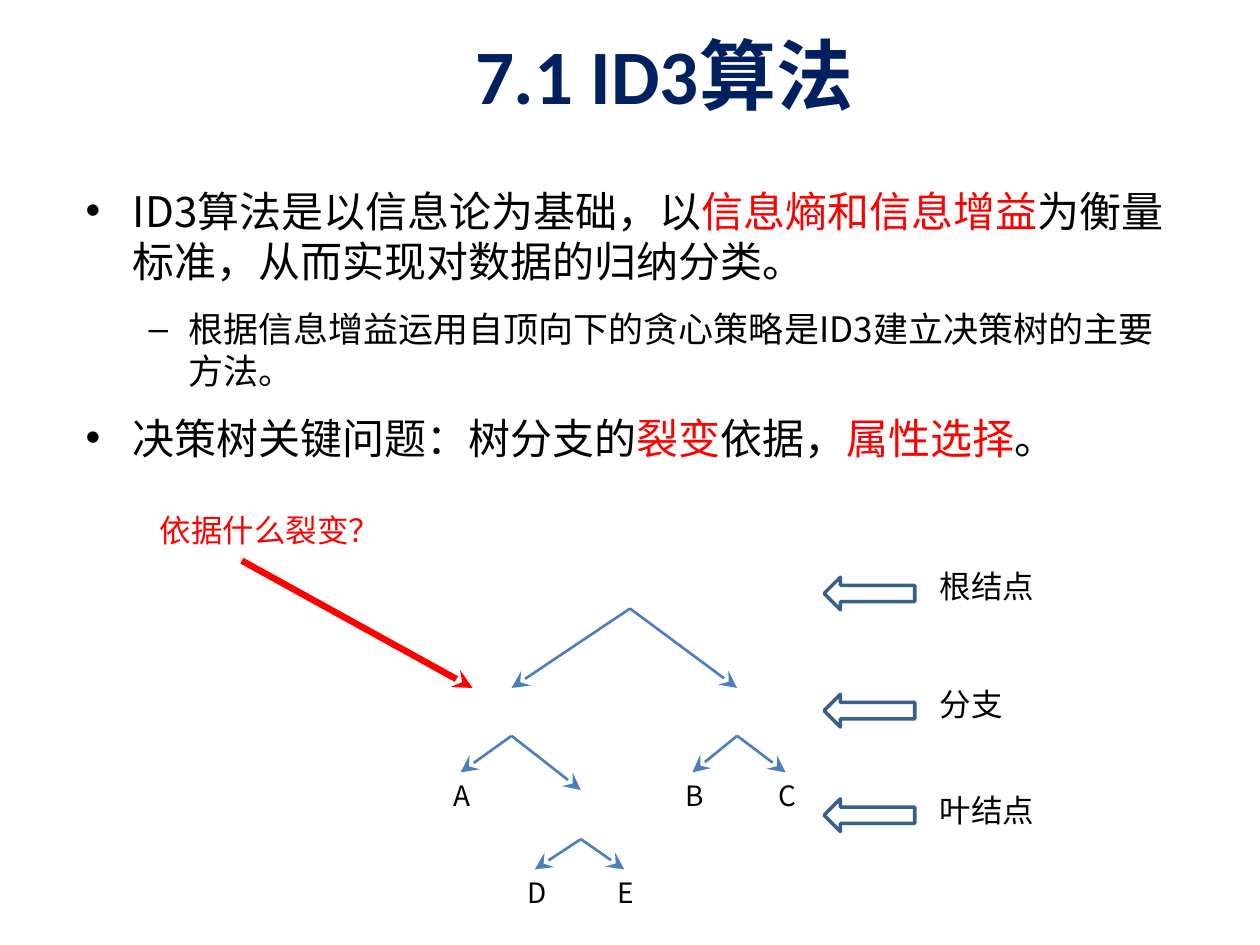
from pptx import Presentation
from pptx.dml.color import RGBColor
from pptx.enum.shapes import MSO_CONNECTOR, MSO_SHAPE
from pptx.enum.text import MSO_ANCHOR, MSO_AUTO_SIZE, PP_ALIGN
from pptx.oxml.ns import qn
from pptx.util import Inches, Pt
from lxml.etree import SubElement

COLORS = {"title": "002060", "text": "000000", "accent": "FF0000",
          "branch": "4B7EBC", "arrow": "3A5F8C"}
CJK = "Noto Sans CJK SC"

TITLE = "7.1 ID3算法"
BULLETS = [
    (0, 24, [("ID3算法是以信息论为基础，以", "text"), ("信息熵和信息增益", "accent"),
             ("为衡量标准，从而实现对数据的归纳分类。", "text")]),
    (1, 20, [("根据信息增益运用自顶向下的贪心策略是ID3建立决策树的主要方法。", "text")]),
    (0, 24, [("决策树关键问题：树分支的", "text"), ("裂变", "accent"), ("依据，", "text"),
             ("属性选择", "accent"), ("。", "text")]),
]
LEAVES = {"A": (3.66, 6.13), "B": (5.5, 6.13), "C": (6.24, 6.13),
          "D": (4.25, 6.9), "E": (4.96, 6.9)}
BRANCHES = [
    ((5, 4.83), [(4.06, 5.46), (5.85, 5.46)]),
    ((4.06, 5.84), ["A", (4.61, 6.27)]),
    ((5.85, 5.84), ["B", "C"]),
    ((4.61, 6.66), ["D", "E"]),
]
LEVELS = [("根结点", 0.96, 4.45, 4.58), ("分支", 0.71, 5.39, 5.51), ("叶结点", 0.96, 6.23, 6.34)]
QUESTION = "依据什么裂变？"


def rgb(name):
    return RGBColor.from_string(COLORS[name])


def style(r, size, color, font=CJK):
    r.font.size = Pt(size)
    r.font.name = font
    r.font.color.rgb = rgb(color)
    SubElement(r._r.get_or_add_rPr(), qn("a:ea")).set("typeface", CJK)


def add_label(s, text, x, y, w, h, size, color="text"):
    sp = s.shapes.add_textbox(Inches(x), Inches(y), Inches(w), Inches(h))
    tf = sp.text_frame
    tf.text = text
    tf.word_wrap = False
    tf.auto_size = MSO_AUTO_SIZE.SHAPE_TO_FIT_TEXT
    style(tf.paragraphs[0].runs[0], size, color)
    return sp


def add_arrow(s, start, end, color, width, head="med"):
    line = s.shapes.add_connector(MSO_CONNECTOR.STRAIGHT, *map(Inches, start + end))
    line.line.color.rgb = rgb(color)
    line.line.width = Pt(width)
    tail = SubElement(line.line._get_or_add_ln(), qn("a:tailEnd"))
    for key, value in (("type", "stealth"), ("w", head), ("len", head)):
        tail.set(key, value)
    SubElement(line._element.spPr, qn("a:effectLst"))
    return line


def place(sp, x, y, w, h):
    sp.left, sp.top, sp.width, sp.height = map(Inches, (x, y, w, h))


prs = Presentation()
prs.slide_width, prs.slide_height = Inches(10), Inches(7.5)
s = prs.slides.add_slide(prs.slide_layouts[1])

title, body = s.placeholders
place(title, 3.67, 0.17, 5.67, 1)
title.text_frame.text = TITLE
title.text_frame.vertical_anchor = MSO_ANCHOR.TOP
p = title.text_frame.paragraphs[0]
p.alignment = PP_ALIGN.LEFT
style(p.runs[0], 44, "title", "Calibri")
p.runs[0].font.bold = True

place(body, 0.58, 1.42, 8.92, 5.83)
tf = body.text_frame
for i, (level, size, runs) in enumerate(BULLETS):
    p = tf.add_paragraph() if i else tf.paragraphs[0]
    p.level = level
    p.space_before = Pt(12 if i else 0)
    for text, color in runs:
        r = p.add_run()
        r.text = text
        style(r, size, color)

leaf_boxes = {name: add_label(s, name, x - 0.16, y, 0.31, 0.37, 16)
              for name, (x, y) in LEAVES.items()}
for start, ends in BRANCHES:
    for end in ends:
        line = add_arrow(s, start, LEAVES.get(end, end), "branch", 1.5, "lg")
        if end in leaf_boxes:
            line.end_connect(leaf_boxes[end], 0)

for text, width, label_y, arrow_y in LEVELS:
    add_label(s, text, 7.36, label_y, width, 0.4, 18)
    sp = s.shapes.add_shape(MSO_SHAPE.RIGHT_ARROW, Inches(6.54), Inches(arrow_y),
                            Inches(0.72), Inches(0.26))
    sp.rotation = 180
    sp.shadow.inherit = False
    sp.fill.background()
    sp.line.color.rgb = rgb("arrow")
    sp.line.width = Pt(2)

add_arrow(s, (1.92, 4.45), (3.75, 5.46), "accent", 3.75)
add_label(s, QUESTION, 1.17, 4.01, 1.97, 0.4, 18, "accent")

prs.save("out.pptx")
